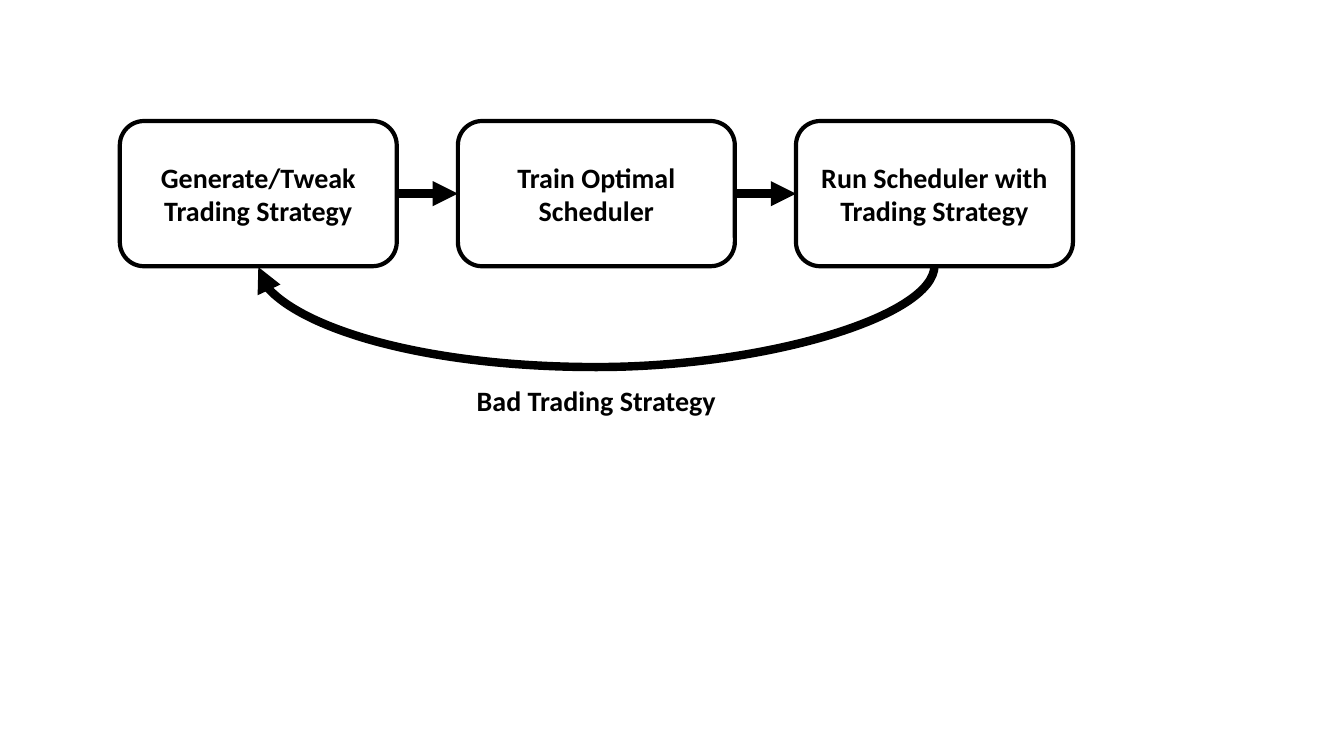
from lxml.etree import SubElement
from pptx import Presentation
from pptx.dml.color import RGBColor
from pptx.enum.shapes import MSO_CONNECTOR as Link, MSO_SHAPE as Shape
from pptx.enum.text import MSO_ANCHOR as Anchor, MSO_AUTO_SIZE as AutoSize, PP_ALIGN as Align
from pptx.oxml.ns import qn
from pptx.util import Cm, Pt

STEPS = [
    "Generate/Tweak Trading Strategy",
    "Train Optimal Scheduler",
    "Run Scheduler with Trading Strategy",
]
FEEDBACK = "Bad Trading Strategy"
COLOURS = {"ink": "000000", "paper": "FFFFFF"}
FONT, TEXT_SIZE = "Calibri", Pt(20)

LEFT, TOP, WIDTH, HEIGHT = 3.02, 3.05, 6.98, 3.66
PITCH = 8.52
BOTTOM, MIDDLE = 2, 0  # rise is measured from the box bottoms
LEFT_SITE, RIGHT_SITE = 1, 3
CURVE_DROP, CURVE_RISE = 2.56, 0.04


def colour(name):
    return RGBColor.from_string(COLOURS[name])


def write(shape, text):
    frame = shape.text_frame
    frame.word_wrap = True
    frame.text = text
    para = frame.paragraphs[0]
    para.alignment = Align.CENTER
    font = para.runs[0].font
    font.name, font.size, font.bold = FONT, TEXT_SIZE, True
    font.color.rgb = colour("ink")


def add_step(page, index, text):
    box = page.shapes.add_shape(
        Shape.ROUNDED_RECTANGLE, Cm(LEFT + index * PITCH), Cm(TOP), Cm(WIDTH), Cm(HEIGHT))
    box.shadow.inherit = False
    box.fill.solid()
    box.fill.fore_color.rgb = colour("paper")
    box.line.color.rgb = colour("ink")
    box.line.width = Pt(3)
    write(box, text)
    box.text_frame.vertical_anchor = Anchor.MIDDLE
    return box


def add_arrow(page, kind, start, start_site, end, end_site):
    arrow = page.shapes.add_connector(kind, 0, 0, 0, 0)
    arrow.begin_connect(start, start_site)
    arrow.end_connect(end, end_site)
    arrow.line.color.rgb = colour("ink")
    arrow.line.width = Pt(6)
    SubElement(arrow.line._get_or_add_ln(), qn("a:tailEnd"), type="triangle")
    SubElement(arrow._element.spPr, qn("a:effectLst"))
    return arrow


def bend_below(arrow):
    """Turn the curve a quarter so that it hangs under the boxes."""
    span = (len(STEPS) - 1) * PITCH
    centre_x, centre_y = LEFT + WIDTH / 2 + span / 2, TOP + HEIGHT
    xfrm = arrow._element.spPr.find(qn("a:xfrm"))
    for flip in ("flipH", "flipV"):
        xfrm.attrib.pop(flip, None)
    xfrm.set("rot", str(90 * 60000))
    arrow.left, arrow.top = Cm(centre_x - CURVE_RISE / 2), Cm(centre_y - span / 2)
    arrow.width, arrow.height = Cm(CURVE_RISE), Cm(span)
    geometry = arrow._element.spPr.find(qn("a:prstGeom"))
    guides = geometry.find(qn("a:avLst"))
    bend = round(CURVE_DROP / CURVE_RISE * 100000)
    SubElement(guides, qn("a:gd"), name="adj1", fmla=f"val {bend}")


def main():
    deck = Presentation()
    deck.slide_width, deck.slide_height = Cm(33.87), Cm(19.05)
    page = deck.slides.add_slide(deck.slide_layouts[6])

    boxes = [add_step(page, index, text) for index, text in enumerate(STEPS)]
    for start, end in zip(boxes, boxes[1:]):
        add_arrow(page, Link.STRAIGHT, start, RIGHT_SITE, end, LEFT_SITE)
    bend_below(add_arrow(page, Link.CURVE, boxes[-1], BOTTOM, boxes[0], BOTTOM))

    label = page.shapes.add_textbox(Cm(11.4), Cm(9.53), Cm(7.26), Cm(1.12))
    write(label, FEEDBACK)
    label.text_frame.auto_size = AutoSize.SHAPE_TO_FIT_TEXT
    deck.save("out.pptx")


if __name__ == "__main__":
    main()
